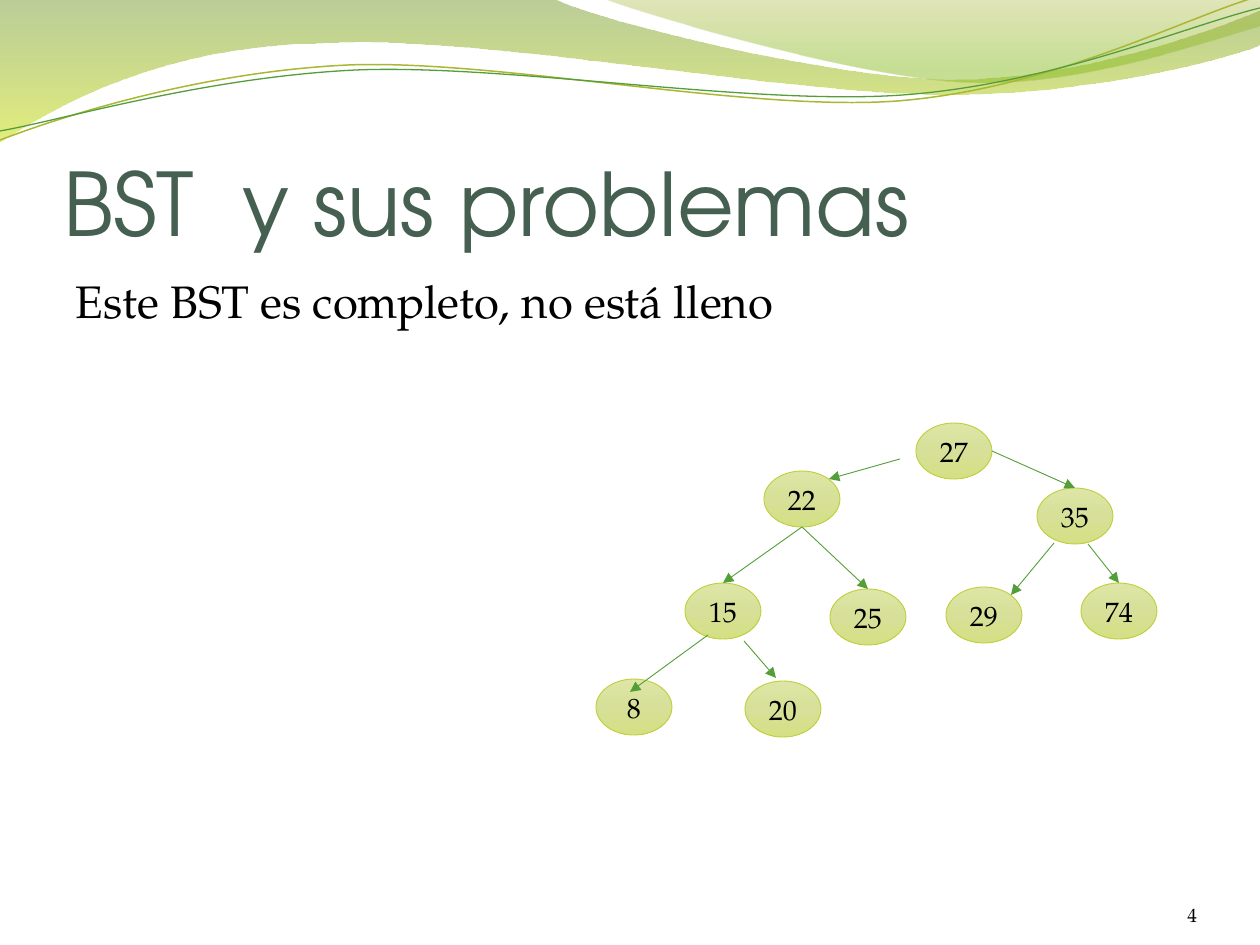
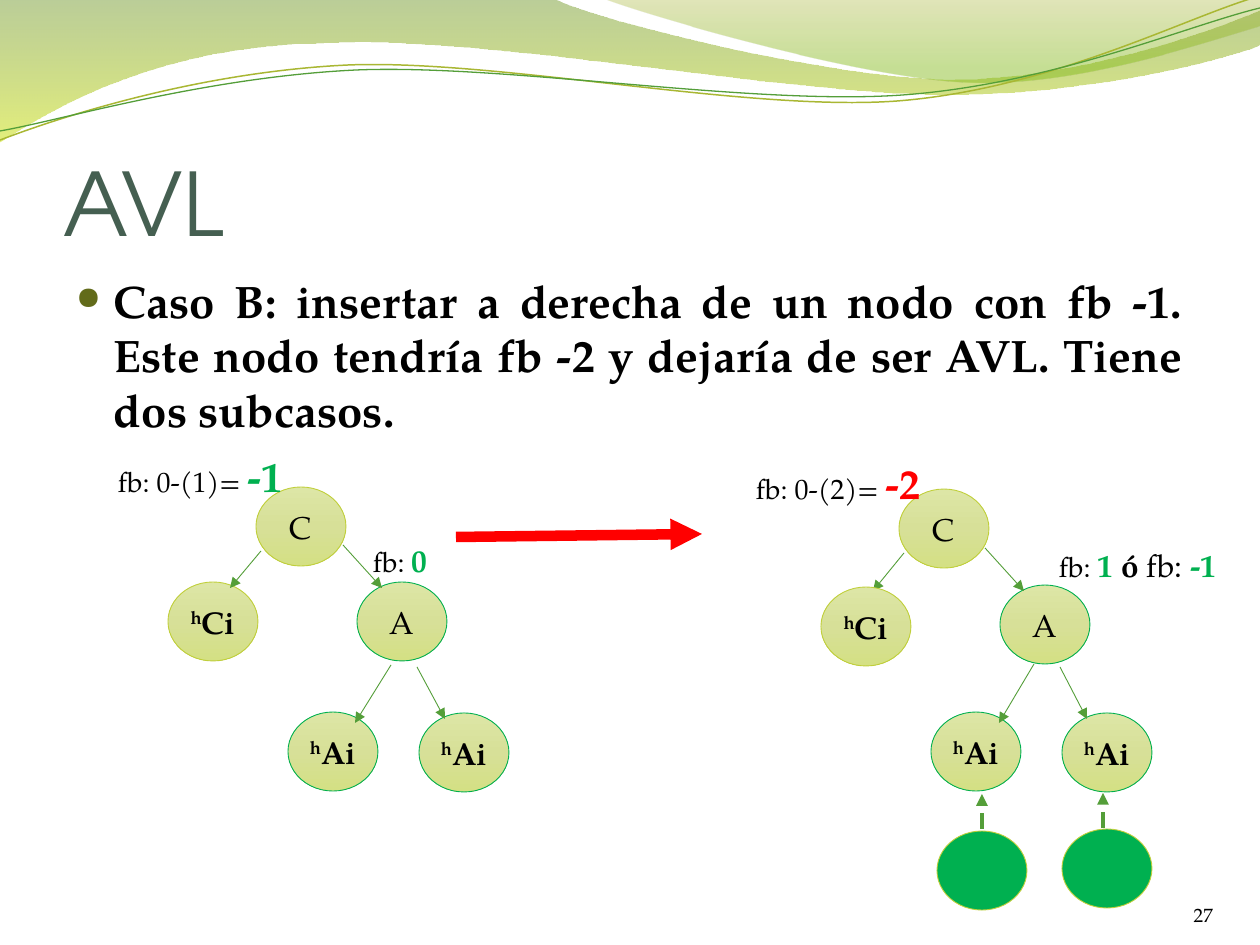
from lxml import etree
from pptx import Presentation
from pptx import util as u
from pptx.dml.color import RGBColor
from pptx.enum import dml, shapes, text
from pptx.oxml.ns import qn

SCALE = 914400 / 126  # EMU in one px
SLIDE_SIZE = (1260, 945)

BLACK = RGBColor(0x00, 0x00, 0x00)
TITLE = RGBColor(0x45, 0x5F, 0x51)
GREEN = RGBColor(0x00, 0xB0, 0x50)
RED = RGBColor(0xFF, 0x00, 0x00)
ARROW = RGBColor(0x54, 0x9E, 0x39)
LIME = RGBColor(0xC0, 0xCF, 0x3A)
OLIVE = RGBColor(0xA9, 0xB7, 0x33)
BULLET = RGBColor(0x62, 0x6B, 0x1A)
HEAD_FONT, BODY_FONT = "TeX Gyre Adventor", "TeX Gyre Pagella"

# Gradients: (position %, colour, opacity %)
NODE_FILL = [(0, RGBColor(0xDD, 0xE6, 0xA6), 100), (50, RGBColor(0xD7, 0xE0, 0x98), 100),
             (100, RGBColor(0xD4, 0xE0, 0x84), 100)]
BAND_FILL = [(0, RGBColor(0x69, 0x92, 0x1C), 45), (100, RGBColor(0xCC, 0xE1, 0x0F), 55)]
CORNER_FILL = [(0, RGBColor(0x9B, 0xAA, 0x1A), 30), (80, RGBColor(0x81, 0xBA, 0x16), 45)]

# Shared waves: start, then segments (2 numbers: straight, 6 numbers: Bezier), fill, line
WAVES = [
    ((0, 0), [(554, -1), (598, 21, 835, 79, 955, 79), (1075, 79, 1207, 33, 1260, 11),
              (1261, 45), (1239, 55, 1095, 96, 940, 94), (784, 94, 480, 35, 324, 43),
              (163, 45, 58, 105, -1, 142)], BAND_FILL, None),
    ((604, -1), [(641, 14, 859, 78, 968, 82), (1077, 87, 1211, 40, 1260, 26), (1260, 0)],
     CORNER_FILL, None),
    ((0, 140), [(60, 117, 198, 72, 348, 65), (498, 59, 746, 112, 897, 101),
                (1050, 89, 1182, 19, 1256, -3)], None, (OLIVE, 0.85)),
    ((0, 131), [(59, 121, 205, 77, 357, 70), (507, 64, 752, 106, 903, 95),
                (1053, 84, 1186, 26, 1260, 8)], None, (ARROW, 0.75)),
]
TITLE_BOX = (63, 97, 1134, 157)
BODY_BOX = (63, 267, 1134, 605)
NUMBER_SIZE = (105, 50)


# Run makers: (text, size, colour, bold, superscript)
def run(words, size, color=BLACK, bold=False, raised=False):
    return words, size, color, bold, raised


def subtree(name):
    return [run("h", 18, bold=True, raised=True), run(name, 18, bold=True)]


# Slide 1: binary search tree
BST_SIZE = (76, 56)
BST_NODES = [("35", 1037, 488), ("74", 1081, 583), ("22", 764, 471), ("29", 946, 587),
             ("25", 830, 589), ("27", 916, 423), ("15", 685, 583), ("20", 745, 681),
             ("8", 596, 679)]
BST_EDGES = [(900, 459, 829, 479), (992, 451, 1075, 488), (1088, 544, 1119, 583),
             (1054, 543, 1011, 595), (802, 527, 723, 583), (802, 527, 868, 589),
             (744, 641, 776, 678), (708, 635, 630, 692)]

# Slide 2: tree before and after the insertion
AVL_SIZE = (90, 79)
C, A = [run("C", 18)], [run("A", 18)]
CI, AI = subtree("Ci"), subtree("Ai")
AVL_NODES = [  # runs, left, top, outline
    (CI, 168, 582, LIME), (C, 256, 487, LIME), (A, 357, 582, GREEN),
    (AI, 288, 712, GREEN), (AI, 419, 713, GREEN),
    (CI, 821, 587, LIME), (C, 899, 489, LIME), (A, 1000, 585, GREEN),
    (AI, 931, 712, GREEN), (AI, 1062, 713, GREEN)]
HIDDEN_EDGE = (904, 553, 873, 591)  # its tip lies under a node
AVL_EDGES = [(261, 551, 230, 588), (343, 545, 382, 588), (391, 665, 355, 723),
             (417, 667, 445, 719), (985, 548, 1024, 591), (1034, 664, 999, 723),
             (1060, 667, 1087, 719)]
NEW_NODES = [(1062, 829), (937, 831)]
NEW_EDGES = [(982, 829, 982, 794), (1103, 828, 1103, 793)]
STEP_ARROW = (456, 537, 702, 534)
LABELS = [
    ((118, 451, 227, 50), [run("fb: 0-(1)= ", 16), run("-1", 24, GREEN, True)]),
    ((373, 541, 113, 38), [run("fb: ", 16), run("0", 18, GREEN, True)]),
    ((1059, 546, 188, 38), [run("fb: ", 16), run("1 ", 18, GREEN, True),
                            run("ó ", 18, bold=True), run("fb: ", 18),
                            run("-1", 18, GREEN, True)]),
    ((756, 458, 202, 50), [run("fb: 0-(2)= ", 16), run("-2", 24, RED, True)]),
]
BST_BODY = "Este BST es completo, no está lleno"
AVL_BODY = ("Caso B: insertar a derecha de un nodo con fb -1. Este nodo tendría fb -2 "
            "y dejaría de ser AVL. Tiene dos subcasos.")


# Helpers
def px(*values):
    return [u.Emu(round(v * SCALE)) for v in values]


def set_all(obj, **formats):
    for name, value in formats.items():
        setattr(obj, name, value)


def sub(parent, tag, **attrs):
    return etree.SubElement(parent, qn(tag), {k: str(v) for k, v in attrs.items()})


def write(tf, runs, font=BODY_FONT, align=text.PP_ALIGN.LEFT,
          anchor=text.MSO_ANCHOR.TOP, insets=(0, 0, 0, 0)):
    left, top, right, bottom = px(*insets)
    set_all(tf, word_wrap=True, auto_size=text.MSO_AUTO_SIZE.NONE, vertical_anchor=anchor,
            margin_left=left, margin_top=top, margin_right=right, margin_bottom=bottom)
    p = tf.paragraphs[0]
    p.alignment = align
    for words, size, color, bold, raised in runs:
        r = p.add_run()
        r.text = words
        set_all(r.font, name=font, size=u.Pt(size), bold=bold)
        r.font.color.rgb = color
        if raised:
            r.font._element.set("baseline", "30000")
    return p


def add_text(s, box, runs, **layout):
    return write(s.shapes.add_textbox(*px(*box)).text_frame, runs, **layout)


def paint(sp, fill, line):
    """Fill with a colour, a gradient or nothing; line is (colour, width) or None."""
    sp.shadow.inherit = False
    if isinstance(fill, RGBColor):
        sp.fill.solid()
        sp.fill.fore_color.rgb = fill
    elif fill:
        sp.fill.gradient()
        sp.fill.gradient_angle = 270
        stops = next(sp.element.iter(qn("a:gsLst")))
        for stop in list(stops):
            stops.remove(stop)
        for pos, color, opacity in fill:
            gs = sub(stops, "a:gs", pos=pos * 1000)
            sub(sub(gs, "a:srgbClr", val=color), "a:alpha", val=opacity * 1000)
    else:
        sp.fill.background()
    if line:
        sp.line.color.rgb, sp.line.width = line[0], u.Pt(line[1])
    else:
        sp.line.fill.background()


def bend(wave, segments):
    """Turn the straight steps of a freeform into the Bezier curves of its segments."""
    steps = list(wave.element.iter(qn("a:lnTo")))
    for step, seg in zip(steps, segments):
        if len(seg) == 6:
            curve = etree.Element(qn("a:cubicBezTo"))
            for x, y in zip(px(*seg[::2]), px(*seg[1::2])):
                sub(curve, "a:pt", x=x - wave.left, y=y - wave.top)
            step.getparent().replace(step, curve)


def add_waves(s, layout):
    """Draw the waves and hand them to the layout that all slides share."""
    for start, segments, fill, line in WAVES:
        builder = s.shapes.build_freeform(*px(*start))
        builder.add_line_segments([px(*seg[-2:]) for seg in segments], close=bool(fill))
        wave = builder.convert_to_shape()
        bend(wave, segments)
        paint(wave, fill, line)
        layout.shapes.element.append(wave.element)


def add_node(s, size, left, top, runs=(), fill=NODE_FILL, outline=LIME):
    sp = s.shapes.add_shape(shapes.MSO_SHAPE.OVAL, *px(left, top, *size))
    paint(sp, fill, (outline, 0.5))
    if runs:
        write(sp.text_frame, runs, align=text.PP_ALIGN.CENTER, anchor=text.MSO_ANCHOR.MIDDLE)


def add_arrow(s, ends, color=ARROW, width=0.5, dash=None):
    c = s.shapes.add_connector(shapes.MSO_CONNECTOR.STRAIGHT, *px(*ends))
    c.line.color.rgb = color
    set_all(c.line, width=u.Pt(width), dash_style=dash)
    sub(c.line._get_or_add_ln(), "a:tailEnd", type="triangle")
    sub(c.element.spPr, "a:effectLst")


def add_slide(prs, layout, title, body, number, number_at, bold=False):
    s = prs.slides.add_slide(layout)
    left, top, width, height = px(*TITLE_BOX)
    set_all(s.shapes.title, left=left, top=top, width=width, height=height)
    write(s.shapes.title.text_frame, [run(title, 50, TITLE)], font=HEAD_FONT,
          anchor=text.MSO_ANCHOR.BOTTOM, insets=(0, 6, 0, 0))
    p = add_text(s, BODY_BOX, [run(body, 26, bold=bold)], align=text.PP_ALIGN.JUSTIFY,
                 insets=(13, 6, 13, 6))
    p.space_before = u.Pt(5)
    add_text(s, (*number_at, *NUMBER_SIZE), [run(number, 11)],
             align=text.PP_ALIGN.RIGHT, anchor=text.MSO_ANCHOR.BOTTOM)
    return s, p


def add_bullet(p):
    indent = px(38)[0]
    pPr = p._p.get_or_add_pPr()
    pPr.set("marL", str(indent))
    pPr.set("indent", str(-indent))
    sub(sub(pPr, "a:buClr"), "a:srgbClr", val=BULLET)
    sub(pPr, "a:buSzPct", val=70000)
    sub(pPr, "a:buChar", char="●")


def main():
    prs = Presentation()
    prs.slide_width, prs.slide_height = px(*SLIDE_SIZE)
    layout = prs.slide_layouts[5]

    # Slide 1
    s, p = add_slide(prs, layout, "BST  y sus problemas", BST_BODY, "4", (1092, 876))
    add_waves(s, layout)
    for key, left, top in BST_NODES:
        add_node(s, BST_SIZE, left, top, [run(key, 16)])
    for ends in BST_EDGES:
        add_arrow(s, ends)

    # Slide 2
    s, p = add_slide(prs, layout, "AVL", AVL_BODY, "27", (1108, 876), bold=True)
    add_bullet(p)
    add_arrow(s, STEP_ARROW, RED, 6)
    add_arrow(s, HIDDEN_EDGE)
    for left, top in NEW_NODES:
        add_node(s, AVL_SIZE, left, top, fill=GREEN)
    for ends in NEW_EDGES:
        add_arrow(s, ends, width=2.25, dash=dml.MSO_LINE.DASH)
    for runs, left, top, outline in AVL_NODES:
        add_node(s, AVL_SIZE, left, top, runs, outline=outline)
    for ends in AVL_EDGES:
        add_arrow(s, ends)
    for box, runs in LABELS:
        add_text(s, box, runs)

    prs.save("out.pptx")


if __name__ == "__main__":
    main()
